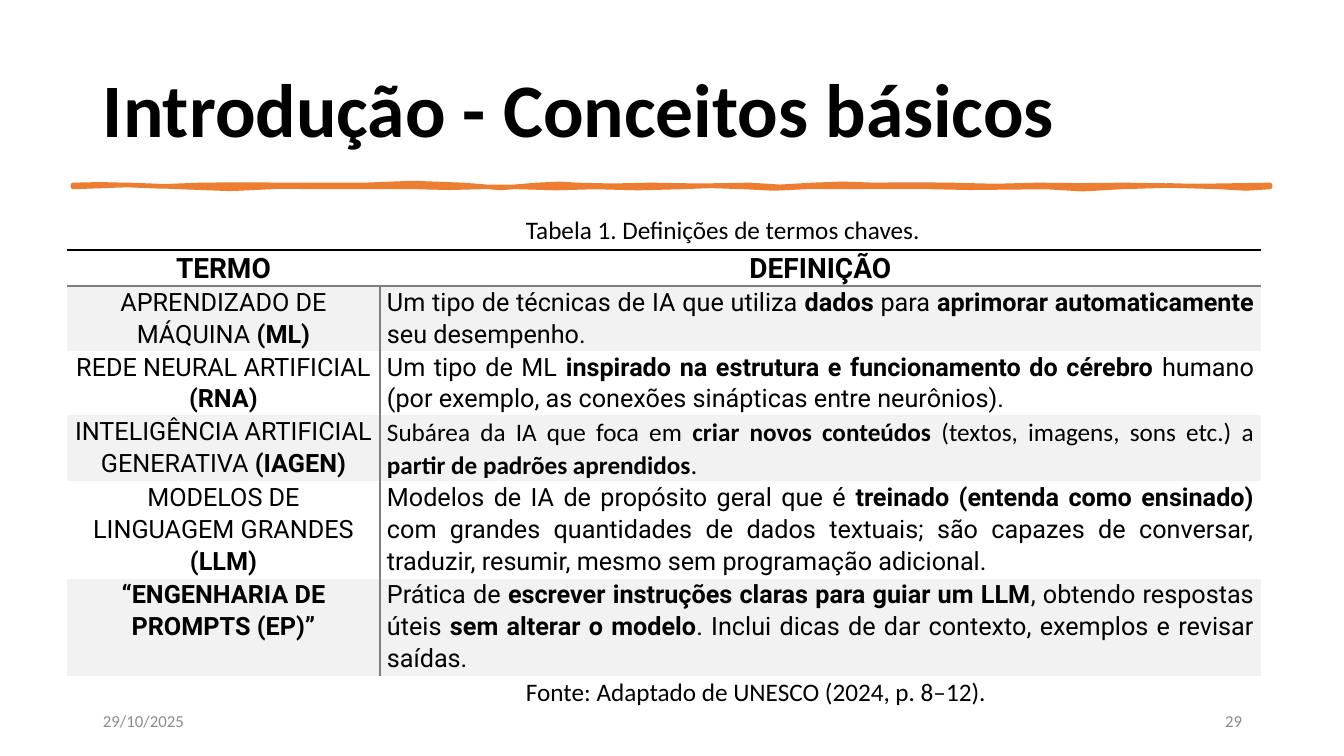
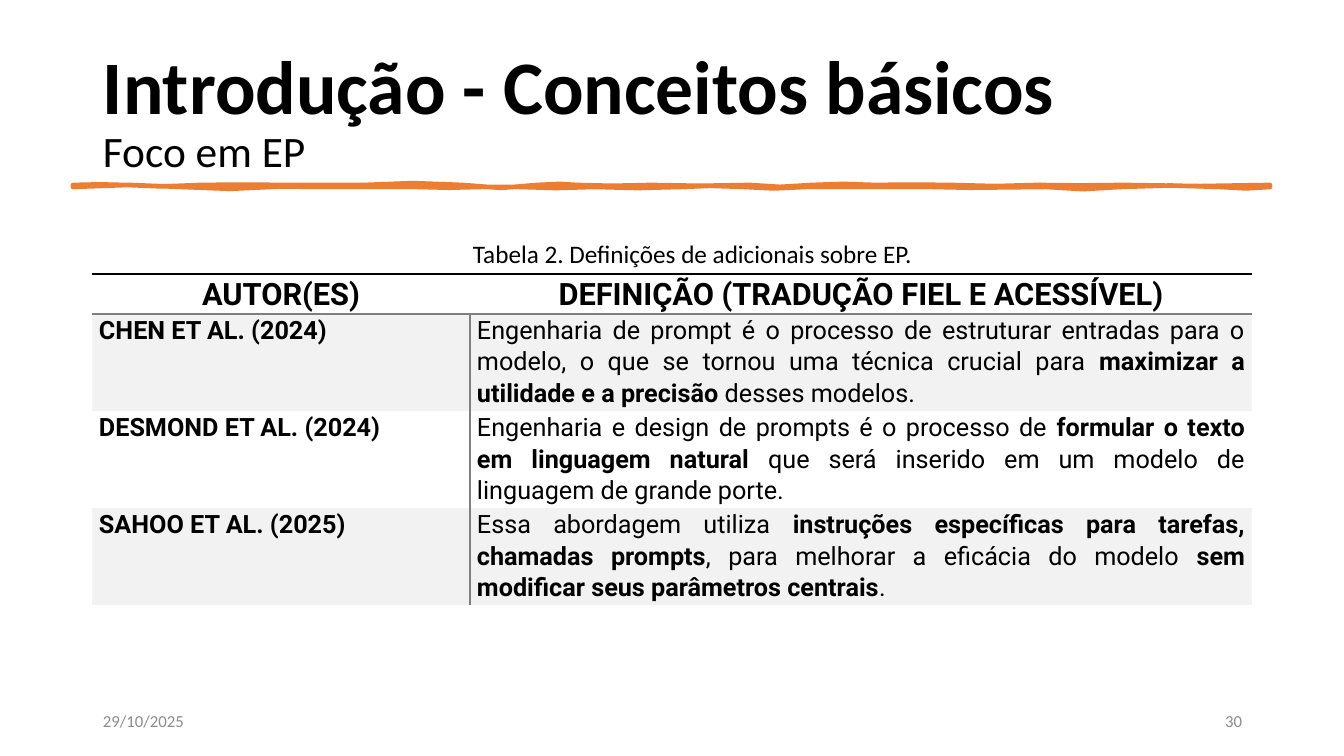
from lxml.etree import SubElement
from pptx import Presentation
from pptx.dml.color import RGBColor
from pptx.enum.text import MSO_ANCHOR, PP_ALIGN
from pptx.oxml import parse_xml
from pptx.oxml.ns import nsdecls, qn
from pptx.util import Emu, Pt

PX = 914400 / 100.8
COLORS = {"text": "000000", "muted": "8C8C8C", "accent": "ED7D31",
          "band": "F2F2F2", "rule": "7F7F7F"}
BODY, TABLE = "Calibri", "Roboto"
LEFT, CENTER, RIGHT, JUSTIFY = (PP_ALIGN.LEFT, PP_ALIGN.CENTER,
                                PP_ALIGN.RIGHT, PP_ALIGN.JUSTIFY)
TITLE = "Introdução - Conceitos básicos"
DATE = "29/10/2025"

# Text between ** marks is bold
SLIDES = [
    {
        "number": 29, "subtitle": None,
        "captions": [((516, 209, 440, 40), "Tabela 1. Definições de termos chaves."),
                     ((516, 671, 500, 40), "Fonte: Adaptado de UNESCO (2024, p. 8–12).")],
        "at": (67, 250), "cols": [313, 881], "heights": [36, 63, 63, 66, 95, 95],
        "head_size": 20, "term_align": CENTER, "body_font_cells": [(3, 1)],
        "rows": [
            ("**TERMO**", "**DEFINIÇÃO**"),
            ("APRENDIZADO DE MÁQUINA **(ML)**",
             "Um tipo de técnicas de IA que utiliza **dados** para "
             "**aprimorar automaticamente** seu desempenho."),
            ("REDE NEURAL ARTIFICIAL** (RNA)**",
             "Um tipo de ML **inspirado na estrutura e funcionamento do cérebro** "
             "humano (por exemplo, as conexões sinápticas entre neurônios)."),
            ("INTELIGÊNCIA ARTIFICIAL GENERATIVA **(IAGEN)**",
             "Subárea da IA que foca em **criar novos conteúdos** (textos, imagens, "
             "sons etc.) a **partir de padrões aprendidos**."),
            ("MODELOS DE LINGUAGEM GRANDES **(LLM)**",
             "Modelos de IA de propósito geral que é **treinado (entenda como "
             "ensinado)** com grandes quantidades de dados textuais; são capazes de "
             "conversar, traduzir, resumir, mesmo sem programação adicional."),
            ("**“ENGENHARIA DE PROMPTS (EP)”**",
             "Prática de **escrever instruções claras para guiar um LLM**, obtendo "
             "respostas úteis **sem alterar o modelo**. Inclui dicas de dar contexto, "
             "exemplos e revisar saídas."),
        ],
    },
    {
        "number": 30, "subtitle": "Foco em EP",
        "captions": [((463, 233, 500, 40),
                      "Tabela 2. Definições de adicionais sobre EP.")],
        "at": (92, 274), "cols": [378, 782], "heights": [40, 97, 97, 97],
        "head_size": 22, "term_align": LEFT, "body_font_cells": [],
        "rows": [
            ("**AUTOR(ES)**", "**DEFINIÇÃO (TRADUÇÃO FIEL E ACESSÍVEL)**"),
            ("**CHEN ET AL. (2024)**",
             "Engenharia de prompt é o processo de estruturar entradas para o modelo, "
             "o que se tornou uma técnica crucial para **maximizar a utilidade e a "
             "precisão** desses modelos."),
            ("**DESMOND ET AL. (2024)**",
             "Engenharia e design de prompts é o processo de **formular o texto em "
             "linguagem natural** que será inserido em um modelo de linguagem de "
             "grande porte."),
            ("**SAHOO ET AL. (2025)**",
             "Essa abordagem utiliza **instruções específicas para tarefas, chamadas "
             "prompts**, para melhorar a eficácia do modelo **sem modificar seus "
             "parâmetros centrais**."),
        ],
    },
]

# Hand-drawn rule: x in px, offset from RULE_Y in tenths of a px
RULE_Y = 185
RULE_TOP = [(73, 0), (100, -6), (125, 0), (162, 15), (200, 0), (243, -4), (286, 0),
            (364, 0), (413, -19), (463, 0), (501, 30), (537, 0), (560, -11), (577, 0),
            (612, 8), (651, 0), (700, 8), (750, 0), (780, 19), (812, 0), (843, -11),
            (875, 0), (910, -4), (951, 0), (995, 11), (1037, 0), (1080, 4), (1124, 0),
            (1200, 11), (1270, 0)]
RULE_BOTTOM = [(1270, 20), (1246, 35), (1220, 20), (1170, 5), (1121, 20), (1083, 42),
               (1046, 20), (970, 28), (932, 20), (806, 20), (774, 35), (744, 20),
               (711, 9), (681, 20), (638, 31), (595, 20), (556, 31), (519, 20),
               (481, 20), (449, 28), (417, 20), (331, 20), (280, 16), (230, 39),
               (181, 20), (130, 0), (73, 20)]


def px(n):
    return Emu(round(n * PX))


def color(name):
    return RGBColor.from_string(COLORS[name])


def add_run(p, text, size, font=BODY, bold=False, ink="text"):
    r = p.add_run()
    r.text = text
    r.font.size, r.font.name, r.font.bold = Pt(size), font, bold
    r.font.color.rgb = color(ink)


def add_box(s, box, anchor=MSO_ANCHOR.TOP, align=LEFT):
    tf = s.shapes.add_textbox(*map(px, box)).text_frame
    tf.word_wrap = True
    tf.vertical_anchor = anchor
    p = tf.paragraphs[0]
    p.alignment = align
    return p


def add_rule(s):
    points = [(x * 10, RULE_Y * 10 + dy) for x, dy in RULE_TOP + RULE_BOTTOM]
    builder = s.shapes.build_freeform(*points[0], scale=PX / 10)
    builder.add_line_segments(points[1:], close=True)
    sp = builder.convert_to_shape()
    sp.shadow.inherit = False
    sp.fill.solid()
    sp.fill.fore_color.rgb = color("accent")
    sp.line.color.rgb = color("accent")
    sp.line.width = Pt(3.25)
    SubElement(sp.line._get_or_add_ln(), qn("a:round"))


def add_frame(s, data):
    """Title, rule and footers."""
    p = add_box(s, (93, 40, 1159, 146), MSO_ANCHOR.MIDDLE)
    p.line_spacing = 0.9
    add_run(p, TITLE, 54, bold=True)
    if data["subtitle"]:
        p.add_line_break()
        add_run(p, data["subtitle"], 31)
    add_rule(s)
    for x, align, text in ((93, LEFT, DATE), (950, RIGHT, str(data["number"]))):
        p = add_box(s, (x, 701, 302, 40), MSO_ANCHOR.MIDDLE, align)
        add_run(p, text, 12, ink="muted")


def set_borders(cell, borders):
    tc_pr = cell._tc.get_or_add_tcPr()
    for i, side in enumerate("LRTB"):
        ink = borders.get(side)
        fill = (f'<a:solidFill><a:srgbClr val="{COLORS[ink]}"/></a:solidFill>'
                if ink else "<a:noFill/>")
        tc_pr.insert(i, parse_xml(
            f'<a:ln{side} {nsdecls("a")} w="12700">{fill}</a:ln{side}>'))


def add_definitions(s, data):
    rows, cols, heights = data["rows"], data["cols"], data["heights"]
    size = (sum(cols), sum(heights))
    table = s.shapes.add_table(len(rows), len(cols),
                               *map(px, data["at"] + size)).table
    table.first_row = table.horz_banding = False
    for col, width in zip(table.columns, cols):
        col.width = px(width)
    for row, height in zip(table.rows, heights):
        row.height = px(height)

    for i, texts in enumerate(rows):
        for j, text in enumerate(texts):
            cell = table.cell(i, j)
            cell.margin_left = cell.margin_right = px(7)
            cell.margin_top = cell.margin_bottom = 0
            if i % 2:
                cell.fill.solid()
                cell.fill.fore_color.rgb = color("band")
            else:
                cell.fill.background()
            if i == 0:
                borders = {"T": "text", "B": "rule"}
            else:
                borders = {"L" if j else "R": "rule"}
                if i == 1:
                    borders["T"] = "rule"
            set_borders(cell, borders)

            p = cell.text_frame.paragraphs[0]
            p.alignment = (CENTER if i == 0 else
                           JUSTIFY if j else data["term_align"])
            p.line_spacing, p.space_after = 1.07, Pt(8)
            font = BODY if (i, j) in data["body_font_cells"] else TABLE
            for k, part in enumerate(text.split("**")):
                if part:
                    add_run(p, part, 18 if i else data["head_size"], font, k % 2 == 1)


def main():
    prs = Presentation()
    prs.slide_width, prs.slide_height = px(1344), px(756)
    for data in SLIDES:
        s = prs.slides.add_slide(prs.slide_layouts[6])
        add_frame(s, data)
        add_definitions(s, data)
        for box, text in data["captions"]:
            add_run(add_box(s, box), text, 18)
    prs.save("out.pptx")


if __name__ == "__main__":
    main()
